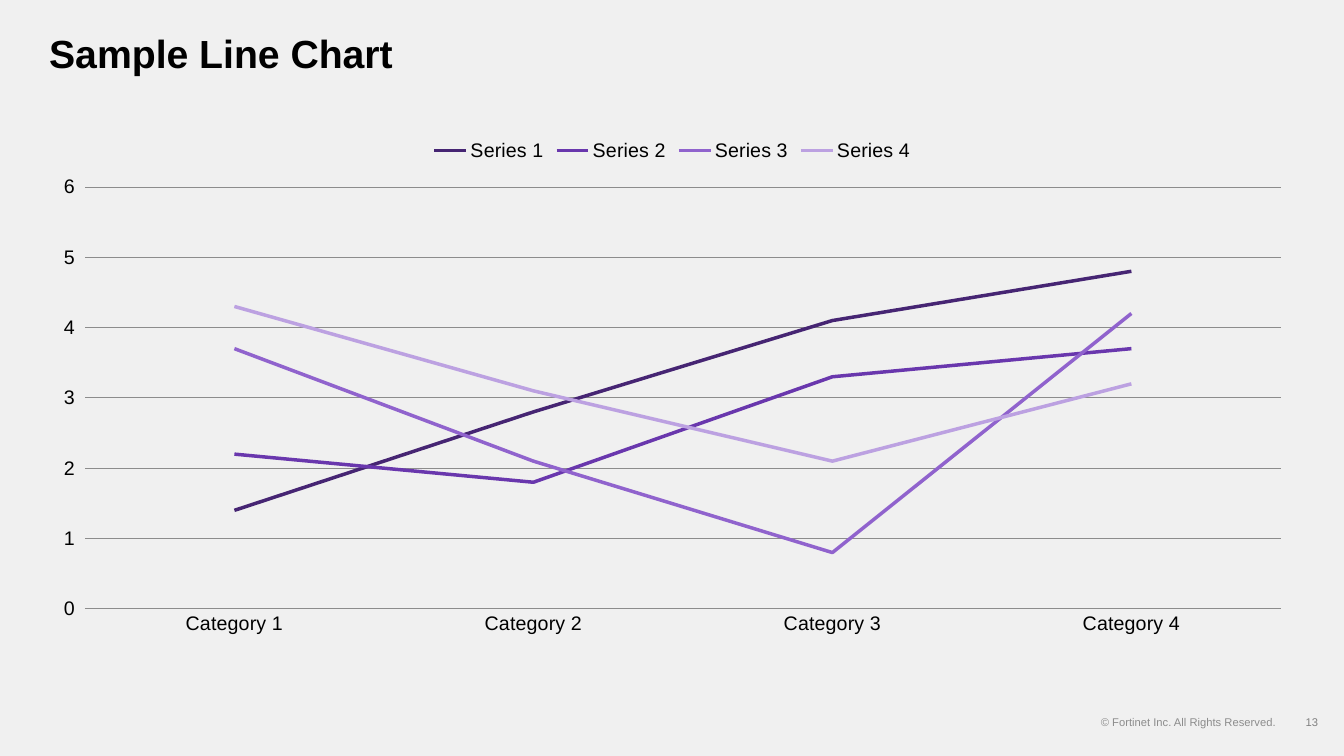
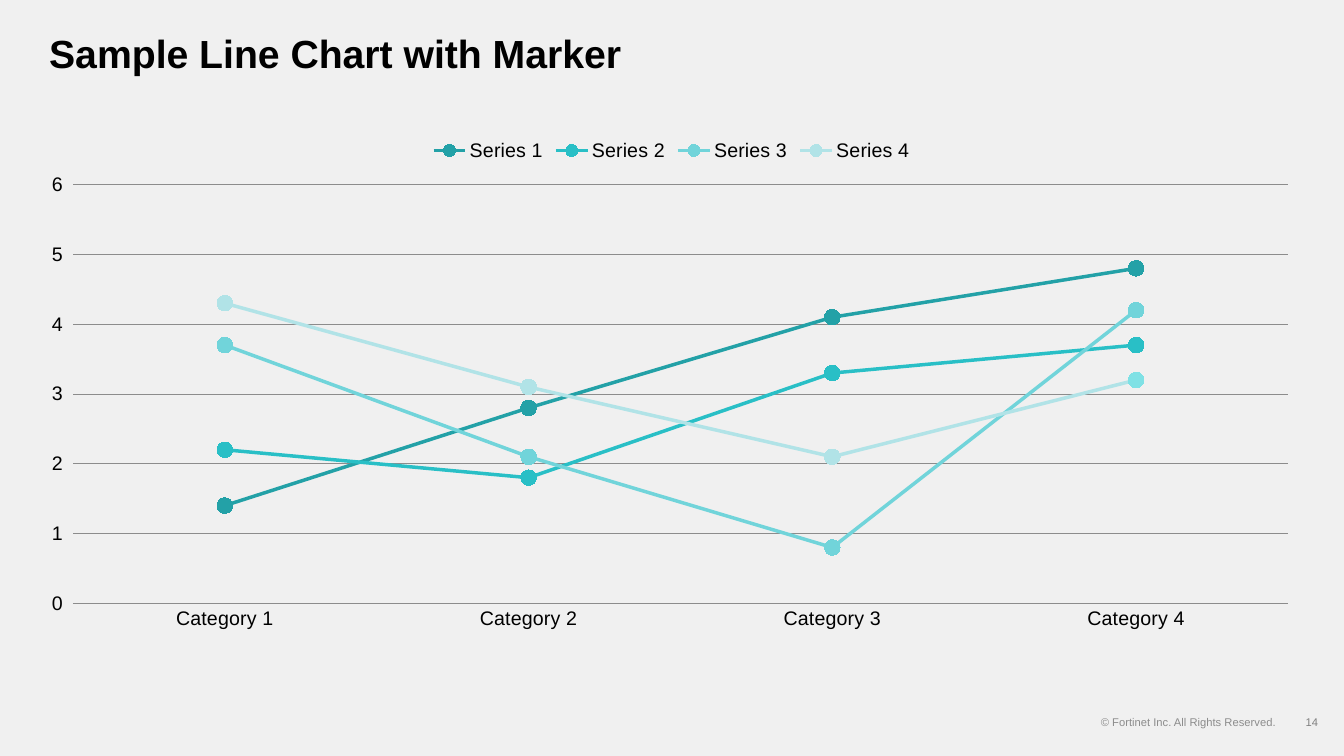
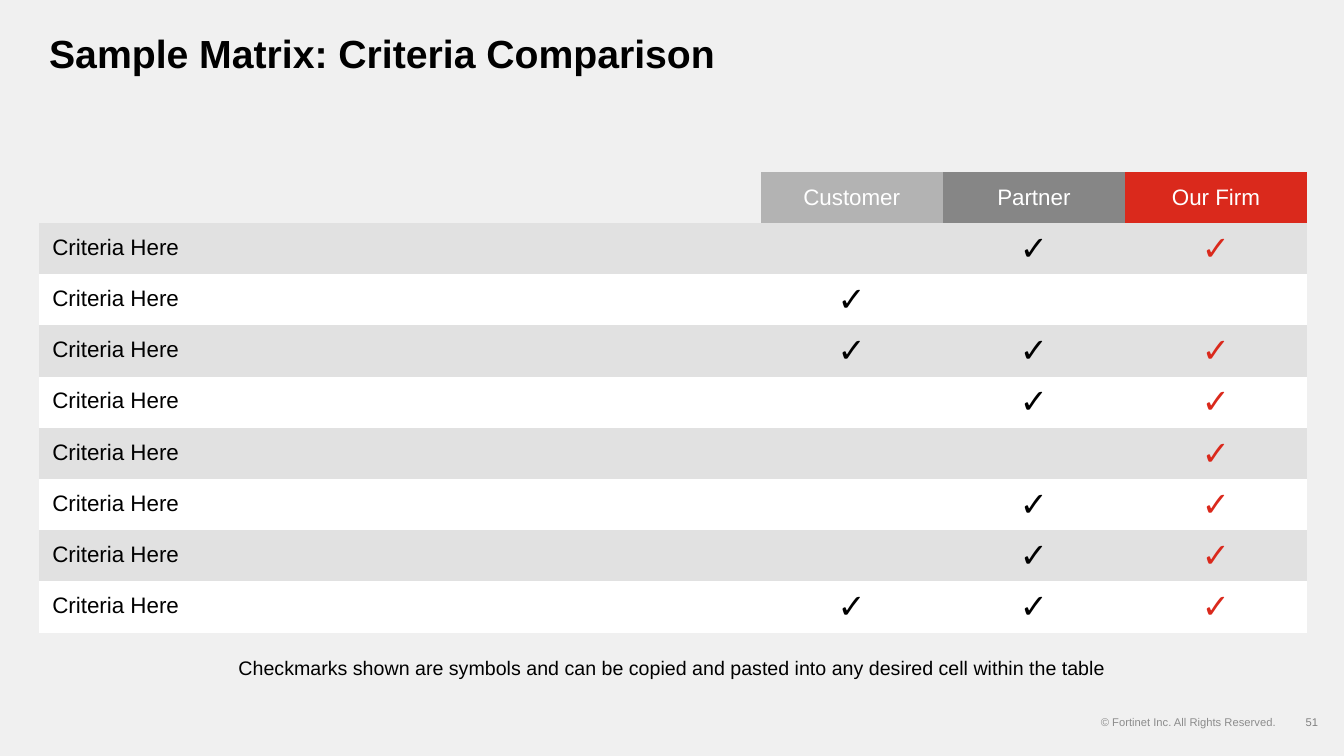
from dataclasses import dataclass

from lxml.etree import SubElement
from pptx import Presentation
from pptx.chart.data import CategoryChartData
from pptx.dml.color import RGBColor
from pptx.enum.chart import XL_CHART_TYPE, XL_LEGEND_POSITION, XL_MARKER_STYLE, XL_TICK_MARK
from pptx.enum.text import MSO_ANCHOR, PP_ALIGN
from pptx.oxml.ns import qn
from pptx.util import Cm, Pt


@dataclass(frozen=True)
class Theme:
    font: str = "Arial"
    background: str = "F0F0F0"
    ink: str = "000000"
    white: str = "FFFFFF"
    band: str = "E1E1E1"
    rule: str = "8C8C8C"
    page_grey: str = "808080"
    customer_grey: str = "B3B3B3"
    partner_grey: str = "868686"
    red: str = "DA291C"
    purples: tuple = ("462573", "6937AD", "9063CD", "BCA1E1")
    teals: tuple = ("23A1A7", "29BFC6", "71D4DA", "B1E3E7")
    markers: tuple = ("1CA7AD", "21C6CD", "6CD9DF", "ABEBED")
    last_marker: str = "7FE1E5"
    title_size: int = 28
    check_size: int = 24
    chart_size: int = 18
    cell_size: int = 16
    label_size: int = 14
    footer_size: int = 8


theme = Theme()


def style_font(font, size, color, bold=False):
    values = {"name": theme.font, "size": Pt(size), "bold": bold}
    for attribute, value in values.items():
        setattr(font, attribute, value)
    font.color.rgb = RGBColor.from_string(color)


def add_text(slide, box, text, size, color, align=PP_ALIGN.LEFT,
             anchor=MSO_ANCHOR.TOP, bold=False, spacing=1.0, inset=None):
    frame = slide.shapes.add_textbox(*map(Cm, box)).text_frame
    values = {"word_wrap": True, "vertical_anchor": anchor}
    if inset is not None:
        for side in ("left", "top", "right", "bottom"):
            values[f"margin_{side}"] = Cm(inset)
    for attribute, value in values.items():
        setattr(frame, attribute, value)
    paragraph = frame.paragraphs[0]
    paragraph.text = text
    paragraph.alignment = align
    paragraph.line_spacing = spacing
    style_font(paragraph.runs[0].font, size, color, bold)


prs = Presentation()
prs.slide_width, prs.slide_height = Cm(33.87), Cm(19.05)
master_fill = prs.slide_master.background.fill
master_fill.solid()
master_fill.fore_color.rgb = RGBColor.from_string(theme.background)

# Title and footer of every slide
pages = {
    13: "Sample Line Chart",
    14: "Sample Line Chart with Marker",
    51: "Sample Matrix: Criteria Comparison",
}
slides = []
for number, title in pages.items():
    slide = prs.slides.add_slide(prs.slide_layouts[6])
    add_text(slide, (32.41, 17.81, 1.3, 0.76), str(number), theme.footer_size,
             theme.page_grey, PP_ALIGN.CENTER, MSO_ANCHOR.MIDDLE)
    add_text(slide, (27.36, 17.81, 5.05, 0.76), "© Fortinet Inc. All Rights Reserved.",
             theme.footer_size, theme.rule, PP_ALIGN.RIGHT, MSO_ANCHOR.MIDDLE)
    add_text(slide, (0.99, 0.74, 31.47, 1.27), title, theme.title_size, theme.ink,
             bold=True, spacing=0.9)
    slides.append(slide)
line_slide, marker_slide, matrix_slide = slides

# Line charts
sample_data = CategoryChartData()
sample_data.categories = [f"Category {n}" for n in range(1, 5)]
sample_values = [(1.4, 2.8, 4.1, 4.8), (2.2, 1.8, 3.3, 3.7),
                 (3.7, 2.1, 0.8, 4.2), (4.3, 3.1, 2.1, 3.2)]
for n, values in enumerate(sample_values, 1):
    sample_data.add_series(f"Series {n}", values)

line_charts = [
    (line_slide, XL_CHART_TYPE.LINE, (0.97, 3.23, 31.95, 13.03), theme.purples),
    (marker_slide, XL_CHART_TYPE.LINE_MARKERS, (0.91, 3.23, 32.03, 13.06), theme.teals),
]
for slide, kind, box, colors in line_charts:
    chart = slide.shapes.add_chart(kind, *map(Cm, box), sample_data).chart
    chart.has_title = False
    style_font(chart.font, theme.chart_size, theme.ink)

    chart.has_legend = True
    chart.legend.position = XL_LEGEND_POSITION.TOP
    chart.legend.include_in_layout = False
    style_font(chart.legend.font, theme.label_size, theme.ink)

    category_axis, value_axis = chart.category_axis, chart.value_axis
    for axis in (category_axis, value_axis):
        style_font(axis.tick_labels.font, theme.label_size, theme.ink)
    axis_values = {"minimum_scale": 0, "maximum_scale": 6, "major_unit": 1,
                   "has_major_gridlines": True, "major_tick_mark": XL_TICK_MARK.OUTSIDE}
    for attribute, value in axis_values.items():
        setattr(value_axis, attribute, value)
    category_axis.major_tick_mark = XL_TICK_MARK.NONE
    for line in (category_axis.format.line, value_axis.major_gridlines.format.line):
        line.width = Pt(0.5)
        line.color.rgb = RGBColor.from_string(theme.rule)
    value_axis.format.line.fill.background()

    chart.plots[0].vary_by_categories = False
    for series, color in zip(chart.series, colors):
        series.smooth = False
        series.format.line.width = Pt(2.5)
        series.format.line.color.rgb = RGBColor.from_string(color)

# Round markers, the last one in a brighter teal
marked_chart = chart
for series, color in zip(marked_chart.series, theme.markers):
    series.marker.style = XL_MARKER_STYLE.CIRCLE
    series.marker.size = 11
    series.marker.format.fill.solid()
    series.marker.format.fill.fore_color.rgb = RGBColor.from_string(color)
    series.marker.format.line.fill.background()
last_point = series.points[3]
last_point.marker.style = XL_MARKER_STYLE.CIRCLE
last_point.marker.size = 11
last_point.marker.format.fill.solid()
last_point.marker.format.fill.fore_color.rgb = RGBColor.from_string(theme.last_marker)
last_point.marker.format.line.fill.background()
last_point.format.line.width = Pt(2.5)
last_point.format.line.color.rgb = RGBColor.from_string(theme.last_marker)

# Fixed plot area of the marked chart
plot_area = marked_chart.plots[0]._element.getparent()
for automatic_layout in plot_area.findall(qn("c:layout")):
    plot_area.remove(automatic_layout)
layout = SubElement(plot_area, qn("c:layout"))
plot_area.insert(0, layout)
manual_layout = SubElement(layout, qn("c:manualLayout"))
layout_values = {"layoutTarget": "inner", "xMode": "edge", "yMode": "edge",
                 "x": 0.029, "y": 0.109, "w": 0.956, "h": 0.808}
for tag, value in layout_values.items():
    SubElement(manual_layout, qn(f"c:{tag}")).set("val", str(value))

# Criteria matrix
headings = [("Customer", theme.customer_grey), ("Partner", theme.partner_grey),
            ("Our Firm", theme.red)]
checks = ["011", "100", "111", "011", "001", "011", "011", "111"]
row_height, criteria_width, party_width = 1.29, 18.18, 4.59
row_count = len(checks) + 1
matrix = matrix_slide.shapes.add_table(
    row_count, 4, Cm(0.99), Cm(4.33), Cm(criteria_width + 3 * party_width),
    Cm(row_height * row_count)).table
matrix.first_row = matrix.horz_banding = False
# Built-in table style without grid
matrix._tbl.tblPr.find(qn("a:tableStyleId")).text = "{2D5ABB26-0587-4C30-8999-92F81FD0307C}"
for column, width in zip(matrix.columns, [criteria_width] + [party_width] * 3):
    column.width = Cm(width)

cell_values = {"vertical_anchor": MSO_ANCHOR.MIDDLE, "margin_left": Cm(0.33),
               "margin_right": Cm(0.33), "margin_top": Cm(0.1), "margin_bottom": Cm(0.1)}
for r, row in enumerate(matrix.rows):
    row.height = Cm(row_height)
    for c, cell in enumerate(row.cells):
        for attribute, value in cell_values.items():
            setattr(cell, attribute, value)
        size, color = theme.cell_size, theme.ink
        fill = theme.white if r % 2 == 0 else theme.band
        if r == 0:
            text, fill = headings[c - 1] if c else ("", None)
            color = theme.white
        elif c == 0:
            text = "Criteria Here"
        else:
            text = "✓" if checks[r - 1][c - 1] == "1" else ""
            size = theme.check_size
            color = theme.red if c == 3 else theme.ink
        if fill:
            cell.fill.solid()
            cell.fill.fore_color.rgb = RGBColor.from_string(fill)
        else:
            cell.fill.background()
        if text:
            paragraph = cell.text_frame.paragraphs[0]
            paragraph.text = text
            paragraph.alignment = PP_ALIGN.CENTER if c else PP_ALIGN.LEFT
            paragraph.line_spacing = 1.0 if c else 0.9
            style_font(paragraph.runs[0].font, size, color)

add_text(matrix_slide, (1.7, 16.54, 30.48, 0.64),
         "Checkmarks shown are symbols and can be copied and pasted into any desired cell "
         "within the table", theme.label_size, theme.ink, PP_ALIGN.CENTER, inset=0)

prs.save("out.pptx")
